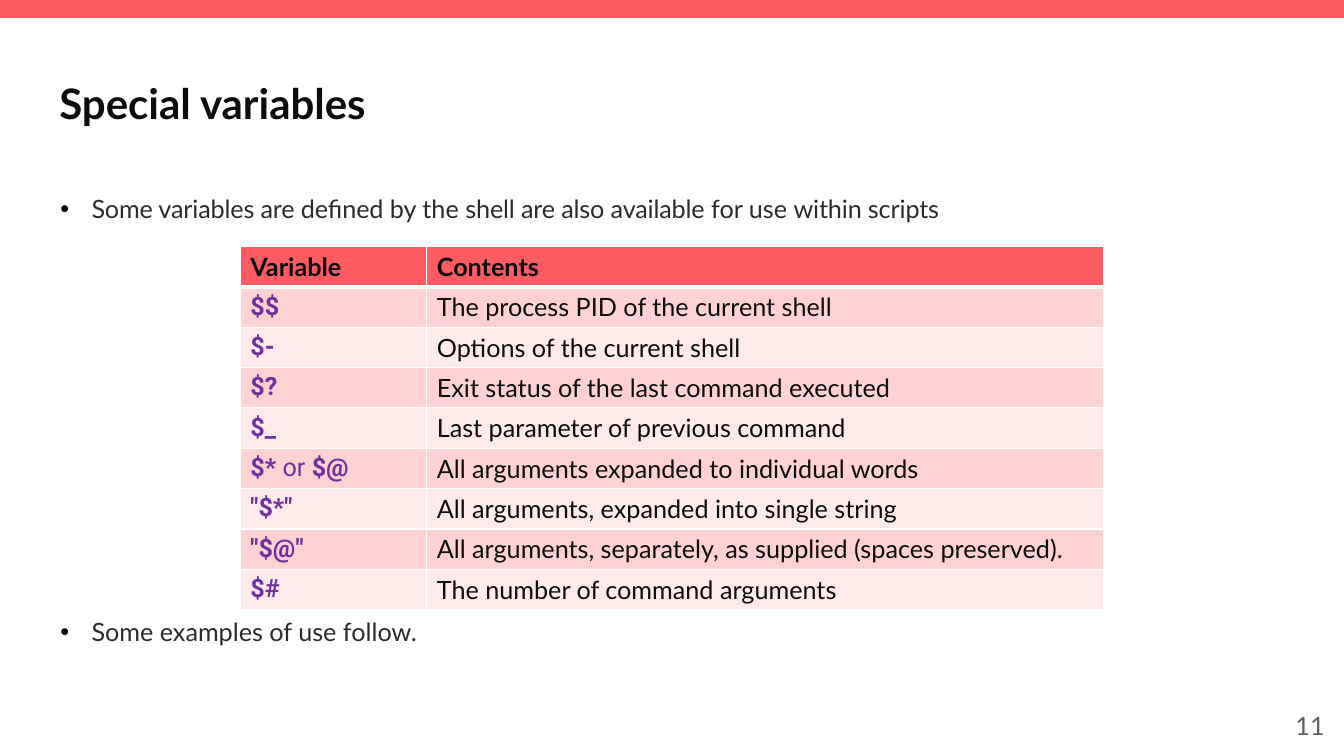
from dataclasses import dataclass

from pptx import Presentation
from pptx import util as u
from pptx.dml import color
from pptx.enum import shapes, text
from pptx.oxml import parse_xml
from pptx.oxml import ns


@dataclass(frozen=True)
class Theme:
    accent: str = "FC5B61"
    bands: tuple = ("FED2D2", "FEEAEA")
    rule: str = "FFFFFF"
    ink: str = "0D0D0D"
    body: str = "2D2C2C"
    code: str = "7030A0"
    number: str = "5F5F5F"
    bullet: str = "000000"
    title_size: int = 30
    text_size: int = 18
    text_font: str = "Lato"
    code_font: str = "Roboto"


theme = Theme()


def write(frame, spans, ink=theme.ink, size=theme.text_size, font=theme.text_font,
          bold=False, align=text.PP_ALIGN.LEFT, anchor=text.MSO_ANCHOR.TOP, bullet=False):
    """Fill a frame with one paragraph of (words, weight, tracking) spans."""
    frame.word_wrap = True
    frame.vertical_anchor = anchor
    para = frame.paragraphs[0]
    para.alignment = align
    if bullet:
        para.line_spacing = 0.9
        properties = para._p.get_or_add_pPr()
        properties.set("marL", str(u.Pt(23)))
        properties.set("indent", str(-u.Pt(22.3)))
        for mark in (f'<a:buClr {ns.nsdecls("a")}><a:srgbClr val="{theme.bullet}"/></a:buClr>',
                     f'<a:buFont {ns.nsdecls("a")} typeface="Arial"/>',
                     f'<a:buChar {ns.nsdecls("a")} char="•"/>'):
            properties.append(parse_xml(mark))
    if isinstance(spans, str):
        spans = [(spans, bold, 0)]
    for words, weight, tracking in spans:
        span = para.add_run()
        span.text = words
        span.font.name = font
        span.font.size = u.Pt(size)
        span.font.bold = weight
        span.font.color.rgb = color.RGBColor.from_string(ink)
        if tracking:
            span.font._element.set("spc", str(tracking))


def draw_borders(cell, top, bottom):
    properties = cell._tc.get_or_add_tcPr()
    for side, width in (("L", 1), ("R", 1), ("T", top), ("B", bottom)):
        properties.append(parse_xml(
            f'<a:ln{side} {ns.nsdecls("a")} w="{u.Pt(width)}"><a:solidFill>'
            f'<a:srgbClr val="{theme.rule}"/></a:solidFill></a:ln{side}>'))


deck = Presentation()
deck.slide_width, deck.slide_height = u.Pt(960), u.Pt(540)
page = deck.slides.add_slide(deck.slide_layouts[6])

# Top band
band = page.shapes.add_shape(shapes.MSO_SHAPE.RECTANGLE, 0, 0, deck.slide_width, u.Pt(12.75))
band.shadow.inherit = False
band.fill.solid()
band.fill.fore_color.rgb = color.RGBColor.from_string(theme.accent)
band.line.fill.background()

# Title, bullets and page number
tight = -10
intro = [
    ("Some variables are defined ", False, tight),
    ("by the ", False, 0),
    ("shell are also available ", False, tight),
    ("for use ", False, 0),
    ("within scripts", False, tight),
]
middle = text.MSO_ANCHOR.MIDDLE
text_boxes = [
    ((35.3, 39.6, 890, 67.7), "Special variables",
     dict(size=theme.title_size, bold=True, anchor=middle)),
    ((35.3, 136.8, 890, 30), intro, dict(ink=theme.body, bullet=True)),
    ((35.3, 438.9, 890, 30), "Some examples of use follow.",
     dict(ink=theme.body, bullet=True)),
    ((737.3, 504, 216, 28.8), "11",
     dict(ink=theme.number, align=text.PP_ALIGN.RIGHT, anchor=middle)),
]
for place, words, style in text_boxes:
    box = page.shapes.add_textbox(*map(u.Pt, place))
    write(box.text_frame, words, **style)

# Table of variables
variables = [
    ("Variable", "Contents"),
    ("$$", "The process PID of the current shell"),
    ("$-", "Options of the current shell"),
    ("$?", "Exit status of the last command executed"),
    ("$_", "Last parameter of previous command"),
    ([("$* ", True, 0), ("or", False, 0), (" $@", True, 0)],
     "All arguments expanded to individual words"),
    ('"$*"', "All arguments, expanded into single string"),
    ('"$@"', "All arguments, separately, as supplied (spaces preserved)."),
    ("$#", "The number of command arguments"),
]
column_widths = (133.2, 483.2)
row_height = 28.8
table = page.shapes.add_table(
    len(variables), len(column_widths), u.Pt(171.7), u.Pt(176),
    u.Pt(sum(column_widths)), u.Pt(row_height * len(variables))).table
for column, width in zip(table.columns, column_widths):
    column.width = u.Pt(width)

for row, entries in enumerate(variables):
    table.rows[row].height = u.Pt(row_height)
    for column, words in enumerate(entries):
        cell = table.cell(row, column)
        draw_borders(cell, top=3 if row == 1 else 1, bottom=3 if row == 0 else 1)
        fill = theme.accent if row == 0 else theme.bands[(row - 1) % 2]
        cell.fill.solid()
        cell.fill.fore_color.rgb = color.RGBColor.from_string(fill)
        is_code = row > 0 and column == 0
        write(cell.text_frame, words, bold=row == 0 or is_code,
              ink=theme.code if is_code else theme.ink,
              font=theme.code_font if is_code else theme.text_font)

deck.save("out.pptx")
